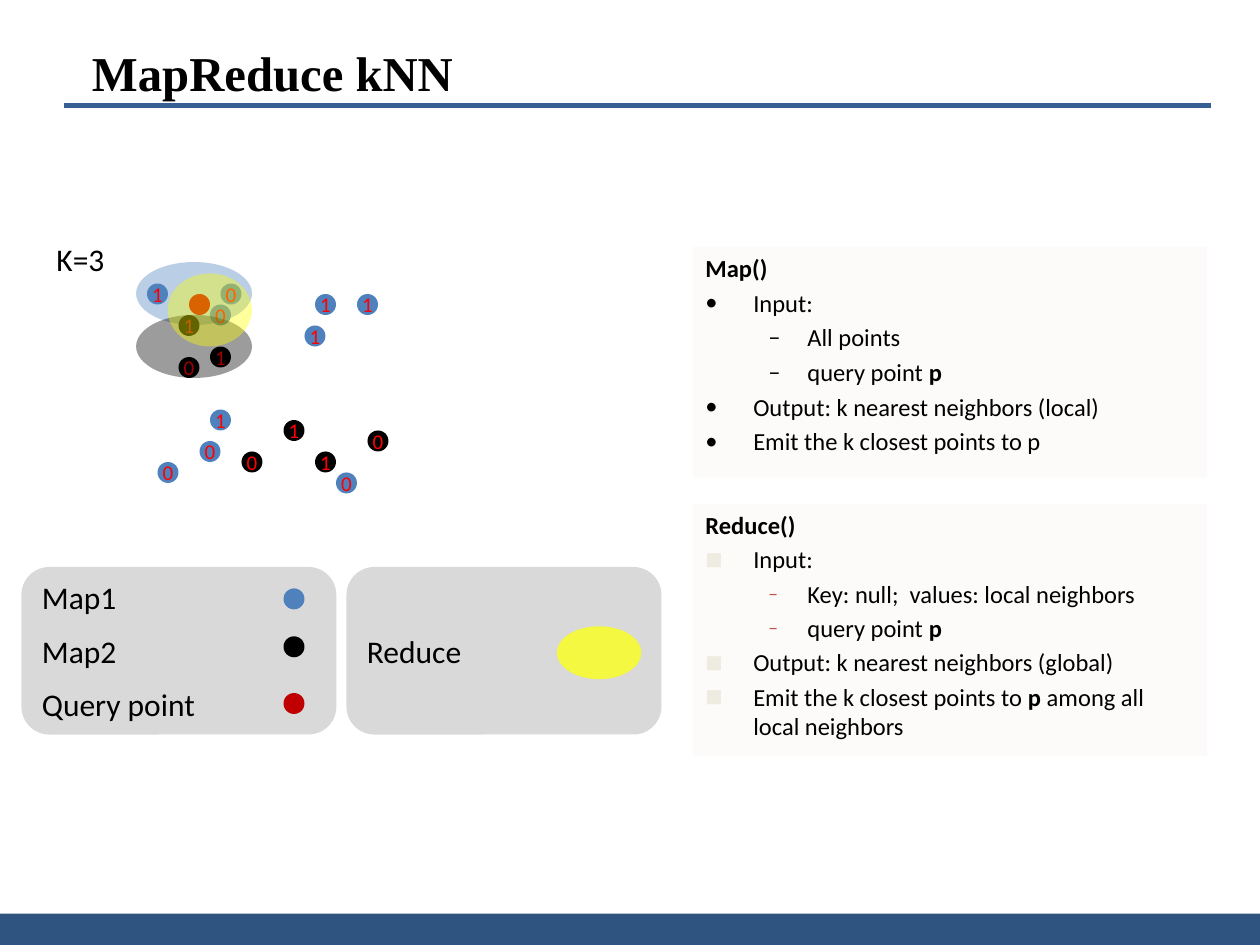
"""Build the MapReduce kNN slide."""
from typing import NamedTuple, Optional

from lxml.etree import SubElement
from pptx import Presentation
from pptx.dml.color import RGBColor
from pptx.enum.shapes import MSO_CONNECTOR, MSO_SHAPE
from pptx.enum.text import MSO_ANCHOR, PP_ALIGN
from pptx.oxml.ns import qn
from pptx.util import Inches, Pt

BLACK = RGBColor(0x00, 0x00, 0x00)
BLUE = RGBColor(0x4F, 0x81, 0xBD)
RED = RGBColor(0xFF, 0x00, 0x00)
DARK_RED = RGBColor(0xC0, 0x00, 0x00)
YELLOW = RGBColor(0xFF, 0xFF, 0x00)
LEMON = RGBColor(0xFA, 0xFF, 0x21)
GREY = RGBColor(0xD9, 0xD9, 0xD9)
CREAM = RGBColor(0xFC, 0xFB, 0xF9)
NAVY = RGBColor(0x30, 0x54, 0x80)
RULE_BLUE = RGBColor(0x37, 0x60, 0x92)
BONE = RGBColor(0xEE, 0xEC, 0xE1)
BRICK = RGBColor(0xC0, 0x50, 0x4D)

GRID = 1 / 12
DOT = 2 * GRID


class Point(NamedTuple):
    col: int
    row: int
    label: str
    color: RGBColor


class Bullet(NamedTuple):
    char: str
    margin: float
    indent: float
    color: RGBColor = BLACK
    size: int = 100


class Line(NamedTuple):
    bullet: Optional[Bullet]
    texts: tuple


class Panel(NamedTuple):
    top: float
    height: float
    gap: float
    lines: tuple


POINTS = (
    Point(17, 30, "1", BLACK), Point(14, 27, "1", BLUE), Point(21, 27, "0", BLUE),
    Point(34, 28, "1", BLUE), Point(30, 28, "1", BLUE), Point(29, 31, "1", BLUE),
    Point(20, 39, "1", BLUE), Point(23, 43, "0", BLACK), Point(19, 42, "0", BLUE),
    Point(15, 44, "0", BLUE), Point(30, 43, "1", BLACK), Point(32, 45, "0", BLUE),
    Point(20, 33, "1", BLACK), Point(27, 40, "1", BLACK), Point(17, 34, "0", BLACK),
    Point(20, 29, "0", BLUE), Point(35, 41, "0", BLACK),
)

ROUND = Bullet("•", 0.38, -0.38)
DASH = Bullet("–", 0.81, -0.31)
SQUARE = Bullet("■", 0.38, -0.38, BONE, 75)
RED_DASH = Bullet("–", 0.81, -0.31, BRICK, 80)

PANELS = (
    Panel(1.96, 1.83, 3, (
        Line(None, (("Map()", True),)),
        Line(ROUND, (("Input:", False),)),
        Line(DASH, (("All points", False),)),
        Line(DASH, (("query point ", False), ("p", True))),
        Line(ROUND, (("Output: k nearest neighbors (local)", False),)),
        Line(ROUND, (("Emit the k closest points to p", False),)),
    )),
    Panel(4, 2, 2.8, (
        Line(None, (("Reduce()", True),)),
        Line(SQUARE, (("Input:", False),)),
        Line(RED_DASH, (("Key: null;  values: local neighbors", False),)),
        Line(RED_DASH, (("query point ", False), ("p", True))),
        Line(SQUARE, (("Output: k nearest neighbors (global)", False),)),
        Line(SQUARE, (("Emit the k closest points to ", False), ("p", True),
                      (" among all local neighbors", False))),
    )),
)


def apply(obj, values: dict) -> None:
    for name, value in values.items():
        setattr(obj, name, value)


def add_run(p, text: str, size: float, color=BLACK, bold=False, name="Calibri") -> None:
    r = p.add_run()
    r.text = text
    apply(r.font, {"size": Pt(size), "name": name, "bold": bold})
    r.font.color.rgb = color


def add_filled(s, kind, left: float, top: float, width: float, height: float,
               color: RGBColor, opacity: int = 100):
    sp = s.shapes.add_shape(kind, Inches(left), Inches(top), Inches(width), Inches(height))
    sp.shadow.inherit = False
    sp.line.fill.background()
    sp.fill.solid()
    sp.fill.fore_color.rgb = color
    if opacity < 100:
        clr = sp._element.spPr.find(qn("a:solidFill"))[0]
        SubElement(clr, qn("a:alpha"), val=str(opacity * 1000))
    return sp


def add_dot(s, left: float, top: float, color: RGBColor, label: str = "") -> None:
    sp = add_filled(s, MSO_SHAPE.OVAL, left, top, DOT, DOT, color)
    if label:
        tf = sp.text_frame
        apply(tf, {"margin_left": 0, "margin_right": 0, "margin_top": 0, "margin_bottom": 0,
                   "word_wrap": False, "vertical_anchor": MSO_ANCHOR.MIDDLE})
        p = tf.paragraphs[0]
        p.alignment = PP_ALIGN.CENTER
        add_run(p, label, 12, RED)


def set_bullet(p, bullet: Bullet) -> None:
    pPr = p._p.get_or_add_pPr()
    pPr.set("marL", str(Inches(bullet.margin)))
    pPr.set("indent", str(Inches(bullet.indent)))
    SubElement(SubElement(pPr, qn("a:buClr")), qn("a:srgbClr"), val=str(bullet.color))
    SubElement(pPr, qn("a:buSzPct"), val=str(bullet.size * 1000))
    SubElement(pPr, qn("a:buFont"), typeface="Calibri")
    SubElement(pPr, qn("a:buChar"), char=bullet.char)


def add_panel(s, panel: Panel) -> None:
    sp = add_filled(s, MSO_SHAPE.RECTANGLE, 5.5, panel.top, 4.08, panel.height, CREAM)
    tf = sp.text_frame
    apply(tf, {"word_wrap": True, "vertical_anchor": MSO_ANCHOR.TOP})
    for i, line in enumerate(panel.lines):
        p = tf.add_paragraph() if i else tf.paragraphs[0]
        if line.bullet:
            set_bullet(p, line.bullet)
        apply(p, {"alignment": PP_ALIGN.LEFT, "space_before": Pt(panel.gap if i else 0)})
        for text, bold in line.texts:
            add_run(p, text, 14, bold=bold)


def add_legend(s, left: float, labels: tuple) -> None:
    tf = add_filled(s, MSO_SHAPE.ROUNDED_RECTANGLE, left, 4.5, 2.5, 1.33, GREY).text_frame
    tf.vertical_anchor = MSO_ANCHOR.MIDDLE
    for i, label in enumerate(labels):
        p = tf.add_paragraph() if i else tf.paragraphs[0]
        apply(p, {"alignment": PP_ALIGN.LEFT, "space_before": Pt(9 if i else 0)})
        add_run(p, label, 18)


def add_frame(s) -> None:
    add_filled(s, MSO_SHAPE.RECTANGLE, 0, 7.25, 10, 0.25, NAVY)
    rule = s.shapes.add_connector(MSO_CONNECTOR.STRAIGHT, Inches(0.51), Inches(0.84),
                                  Inches(9.61), Inches(0.84))
    rule.line.color.rgb = RULE_BLUE
    rule.line.width = Pt(3)
    SubElement(rule._element.spPr, qn("a:effectLst"))
    title = s.shapes.title
    apply(title, {"left": Inches(0.63), "top": Inches(0.29),
                  "width": Inches(8.74), "height": Inches(0.56)})
    title.text_frame.vertical_anchor = MSO_ANCHOR.MIDDLE
    p = title.text_frame.paragraphs[0]
    p.alignment = PP_ALIGN.LEFT
    add_run(p, "MapReduce kNN", 27.8, bold=True, name="Times New Roman")


def main() -> None:
    prs = Presentation()
    apply(prs, {"slide_width": Inches(10), "slide_height": Inches(7.5)})
    s = prs.slides.add_slide(prs.slide_layouts[5])
    add_frame(s)
    add_filled(s, MSO_SHAPE.OVAL, 1.08, 2.08, 0.92, 0.5, BLUE, 39)
    for point in POINTS:
        add_dot(s, point.col * GRID, point.row * GRID, point.color, point.label)
    add_dot(s, 18 * GRID, 28 * GRID, DARK_RED)
    for panel in PANELS:
        add_panel(s, panel)
    add_legend(s, 0.17, ("Map1", "Map2", "Query point"))
    for top, color in ((4.67, BLUE), (5.05, BLACK), (5.5, DARK_RED)):
        add_dot(s, 2.25, top, color)
    add_legend(s, 2.75, ("Reduce",))
    add_filled(s, MSO_SHAPE.OVAL, 4.42, 4.97, 0.67, 0.42, LEMON, 83)
    add_filled(s, MSO_SHAPE.OVAL, 1.08, 2.5, 0.92, 0.5, BLACK, 39)
    add_filled(s, MSO_SHAPE.OVAL, 1.33, 2.17, 0.67, 0.58, YELLOW, 39)
    k_box = s.shapes.add_textbox(Inches(0.35), Inches(1.86), Inches(0.66), Inches(0.4))
    k_box.text_frame.word_wrap = False
    add_run(k_box.text_frame.paragraphs[0], "K=3", 18)
    prs.save("out.pptx")


if __name__ == "__main__":
    main()
